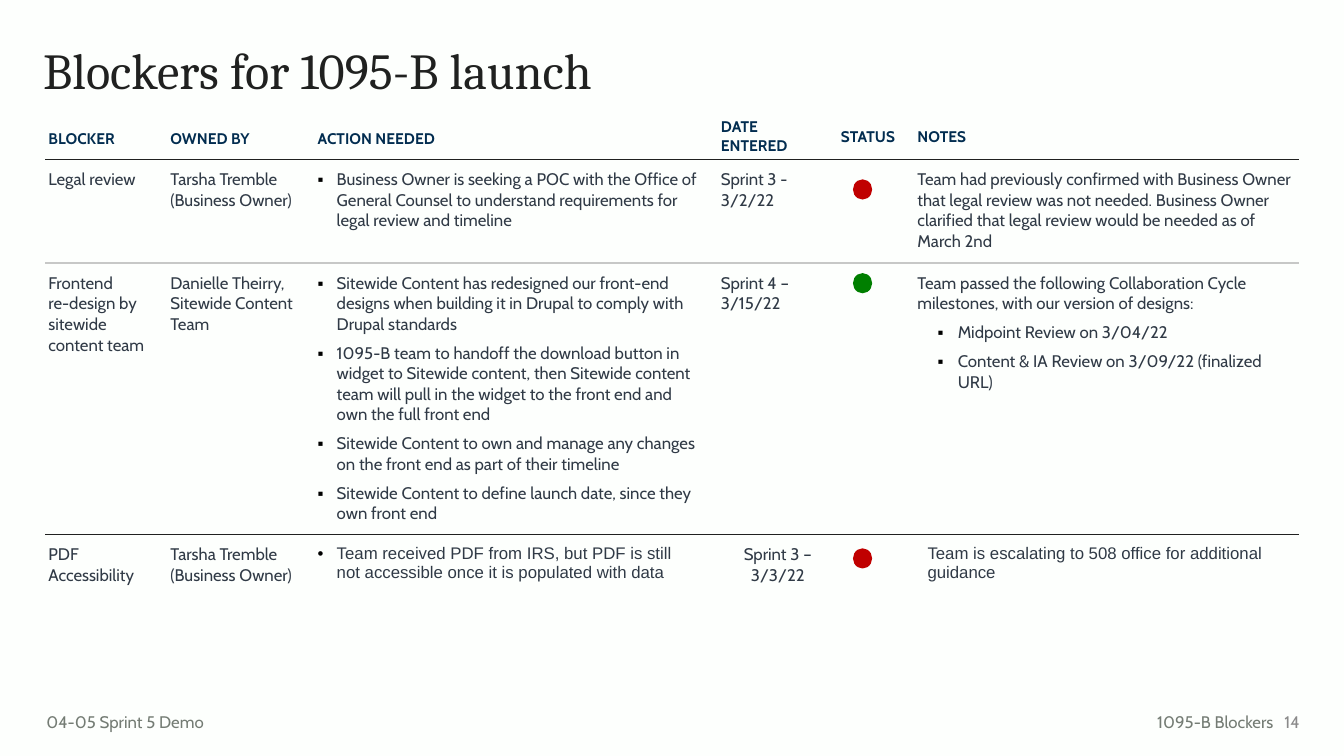
from dataclasses import dataclass

from lxml import etree
from pptx import Presentation
from pptx.dml.color import RGBColor
from pptx.enum import shapes, text
from pptx.oxml.ns import qn
from pptx.util import Inches, Pt


@dataclass
class Line:
    """One paragraph of a table cell."""
    words: str
    bullet: str = ""
    left: float = 0
    hang: float = 0
    after: int = 0
    font: str = "Cabin"
    align: text.PP_ALIGN = text.PP_ALIGN.LEFT


def action(words, bullet="▪", after=6, font="Cabin"):
    return Line(words, bullet, 0.19, 0.19, after, font)


def milestone(words):
    return Line(words, "▪", 0.4, 0.2, 6)


THEME = {
    "background": "FDFFFD", "ink": "202120", "heading": "022D50",
    "body": "303A46", "rule": "C7C8C7", "bullet": "000000",
    "footer": "747C74", "number": "8A8A8A",
    "red": "C00000", "green": "007F00",
    "title_font": "Cambria", "body_font": "Cabin",
    "title_size": 36, "head_size": 11, "body_size": 12,
}

HEADINGS = [["BLOCKER"], ["OWNED BY"], ["ACTION NEEDED"],
            ["DATE", "ENTERED"], ["STATUS"], ["NOTES"]]
BLOCKERS = [
    [[Line("Legal review")],
     [Line("Tarsha Tremble (Business Owner)")],
     [action("Business Owner is seeking a POC with the Office of General Counsel "
             "to understand requirements for legal review and timeline")],
     [Line("Sprint 3 -"), Line("3/2/22")],
     [],
     [Line("Team had previously confirmed with Business Owner that legal review "
           "was not needed. Business Owner clarified that legal review would be "
           "needed as of March 2nd")]],
    [[Line("Frontend"), Line("re-design by sitewide content team")],
     [Line("Danielle Theirry, Sitewide Content Team")],
     [action("Sitewide Content has redesigned our front-end designs when building "
             "it in Drupal to comply with Drupal standards"),
      action("1095-B team to handoff the download button in widget to Sitewide "
             "content, then Sitewide content team will pull in the widget to the "
             "front end and own the full front end"),
      action("Sitewide Content to own and manage any changes on the front end as "
             "part of their timeline"),
      action("Sitewide Content to define launch date, since they own front end")],
     [Line("Sprint 4 – 3/15/22")],
     [],
     [Line("Team passed the following Collaboration Cycle milestones, with our "
           "version of designs:", after=6),
      milestone("Midpoint Review on 3/04/22"),
      milestone("Content & IA Review on 3/09/22 (finalized URL)")]],
    [[Line("PDF Accessibility")],
     [Line("Tarsha Tremble (Business Owner)")],
     [action("Team received PDF from IRS, but PDF is still not accessible once it "
             "is populated with data", "•", 0, "Arial")],
     [Line("Sprint 3 – 3/3/22", align=text.PP_ALIGN.CENTER)],
     [],
     [Line("Team is escalating to 508 office for additional guidance",
           left=0.1, font="Arial")]],
]
STATUS_DOTS = [(1.78, "red"), (2.71, "green"), (5.44, "red")]

TABLE_LEFT, TABLE_TOP = 0.45, 1.14
COLUMN_WIDTHS = [1.21, 1.46, 4, 1.19, 0.69, 3.88]
ROW_HEIGHTS = [0.44, 1.03, 2.69, 0.56]
RULES = ["ink", "rule", "ink", None]  # below each row
NOTES_COLUMN = 5


def color(name):
    return RGBColor.from_string(THEME[name])


def add_span(para, words, size, tint, font=THEME["body_font"], bold=False):
    span = para.add_run()
    span.text = words
    span.font.name = font
    span.font.size = Pt(THEME[size])
    span.font.bold = bold
    span.font.color.rgb = color(tint)


def paragraphs(frame, items):
    """Pair each item with its paragraph, the first one being already there."""
    for index, item in enumerate(items):
        yield (frame.add_paragraph() if index else frame.paragraphs[0]), item


def indent(para, line):
    props = para._p.get_or_add_pPr()
    props.set("marL", str(Inches(line.left)))
    props.set("indent", str(-Inches(line.hang)))
    if line.bullet:
        tint = etree.SubElement(props, qn("a:buClr"))
        etree.SubElement(tint, qn("a:srgbClr"), val=THEME["bullet"])
        etree.SubElement(props, qn("a:buFont"), typeface="Arial")
        etree.SubElement(props, qn("a:buChar"), char=line.bullet)


def set_borders(cell, above, below):
    props = cell._tc.get_or_add_tcPr()
    for side, tint in (("L", None), ("R", None), ("T", above), ("B", below)):
        edge = etree.SubElement(props, qn("a:ln" + side), w=str(Pt(1)))
        if tint:
            fill = etree.SubElement(edge, qn("a:solidFill"))
            etree.SubElement(fill, qn("a:srgbClr"), val=THEME[tint])
        else:
            etree.SubElement(edge, qn("a:noFill"))


def set_margins(item, left, top, right, bottom):
    item.margin_left, item.margin_top = Inches(left), Inches(top)
    item.margin_right, item.margin_bottom = Inches(right), Inches(bottom)


def fill_heading(cell, column, words):
    set_margins(cell, 0.1 if column == NOTES_COLUMN else 0.03, 0.03, 0.03, 0.03)
    if len(words) == 1:
        cell.vertical_anchor = text.MSO_ANCHOR.MIDDLE
    for para, word in paragraphs(cell.text_frame, words):
        if column < 3:
            para.line_spacing = 1.15
        add_span(para, word, "head_size", "heading", bold=True)


def fill_body(cell, column, lines):
    set_margins(cell, 0.1 if column == NOTES_COLUMN else 0.03, 0.1,
                0.2 if column < 3 else 0.03, 0.1)
    for para, line in paragraphs(cell.text_frame, lines):
        indent(para, line)
        para.alignment = line.align
        para.space_after = Pt(line.after)
        add_span(para, line.words, "body_size", "body", line.font)


def add_blocker_table(page):
    frame = page.shapes.add_table(
        len(ROW_HEIGHTS), len(COLUMN_WIDTHS), Inches(TABLE_LEFT), Inches(TABLE_TOP),
        Inches(sum(COLUMN_WIDTHS)), Inches(sum(ROW_HEIGHTS)))
    table = frame.table
    table.first_row = table.horz_banding = False
    for column, width in zip(table.columns, COLUMN_WIDTHS):
        column.width = Inches(width)
    for row, height in zip(table.rows, ROW_HEIGHTS):
        row.height = Inches(height)
    for r, row in enumerate([HEADINGS] + BLOCKERS):
        for c, content in enumerate(row):
            cell = table.cell(r, c)
            set_borders(cell, RULES[r - 1] if r else None, RULES[r])
            cell.fill.background()
            (fill_body if r else fill_heading)(cell, c, content)


def add_label(page, words, place, size, tint, font=THEME["body_font"],
              align=text.PP_ALIGN.LEFT, anchor=text.MSO_ANCHOR.TOP, inset=0.1):
    box = page.shapes.add_textbox(*map(Inches, place))
    frame = box.text_frame
    frame.word_wrap = True
    frame.vertical_anchor = anchor
    set_margins(frame, inset, 0.05, 0.1, 0.05)
    para = frame.paragraphs[0]
    para.alignment = align
    add_span(para, words, size, tint, font)
    return para


def add_status_dot(page, top, tint):
    dot = page.shapes.add_shape(shapes.MSO_SHAPE.OVAL, Inches(8.46), Inches(top),
                                Inches(0.19), Inches(0.2))
    dot.shadow.inherit = False
    dot.fill.solid()
    dot.fill.fore_color.rgb = color(tint)
    dot.line.fill.background()


def main():
    deck = Presentation()
    deck.slide_width, deck.slide_height = Inches(13.33), Inches(7.5)
    page = deck.slides.add_slide(deck.slide_layouts[6])
    page.background.fill.solid()
    page.background.fill.fore_color.rgb = color("background")

    title = add_label(page, "Blockers for 1095-B launch", (0.33, 0.41, 8.81, 1.45),
                      "title_size", "ink", THEME["title_font"])
    title.line_spacing = 0.9
    add_blocker_table(page)
    for top, tint in STATUS_DOTS:
        add_status_dot(page, top, tint)

    right = text.PP_ALIGN.RIGHT
    add_label(page, "14", (12.55, 6.96, 0.44, 0.4), "body_size", "number",
              align=right, anchor=text.MSO_ANCHOR.MIDDLE)
    add_label(page, "1095-B Blockers", (11.09, 7.01, 1.64, 0.3), "body_size",
              "footer", align=right)
    add_label(page, "04-05 Sprint 5 Demo", (0.46, 7.01, 2.98, 0.3), "body_size",
              "footer", inset=0)
    deck.save("out.pptx")


if __name__ == "__main__":
    main()
